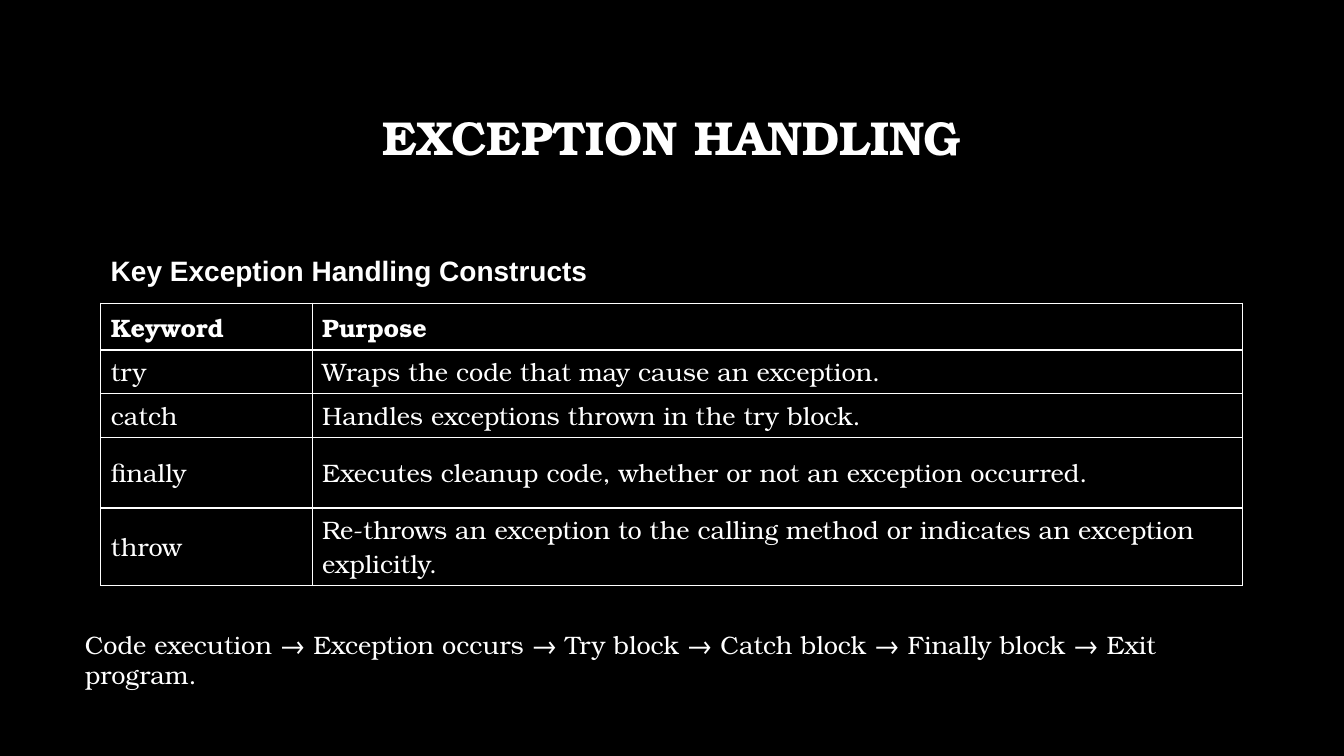
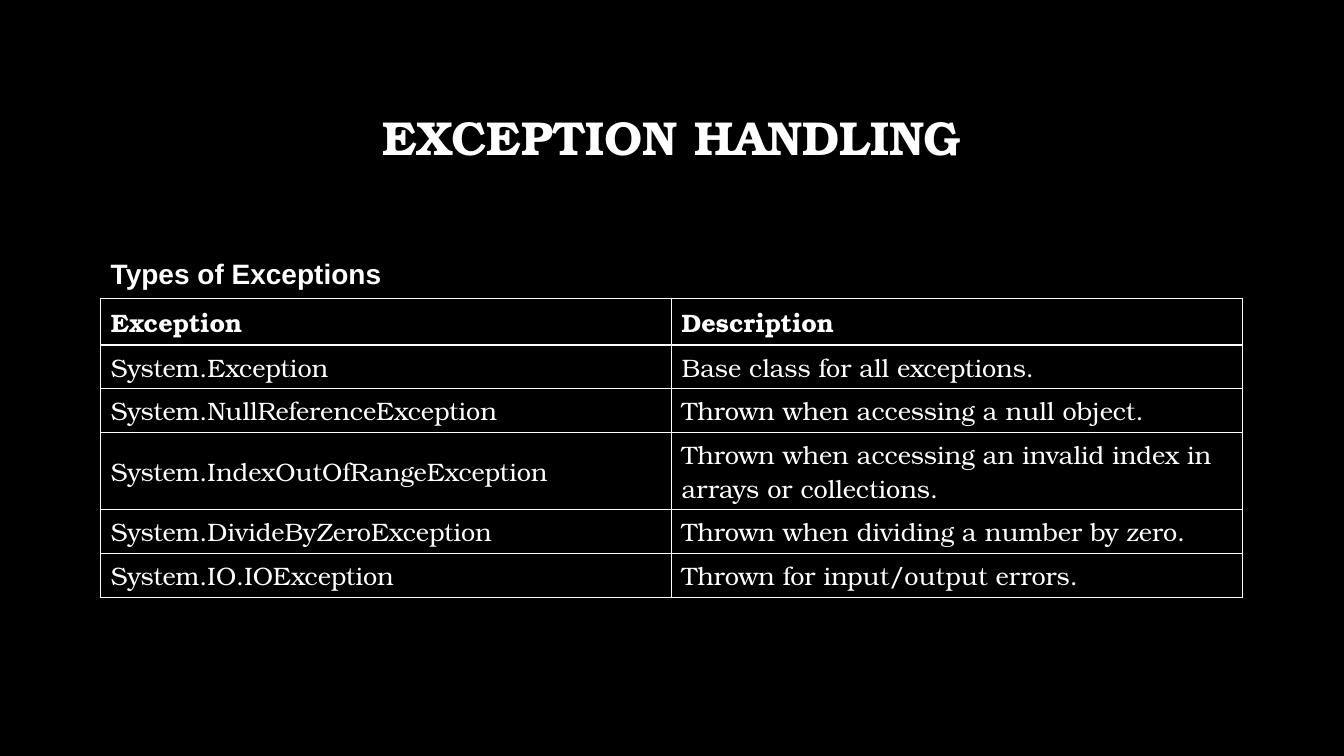
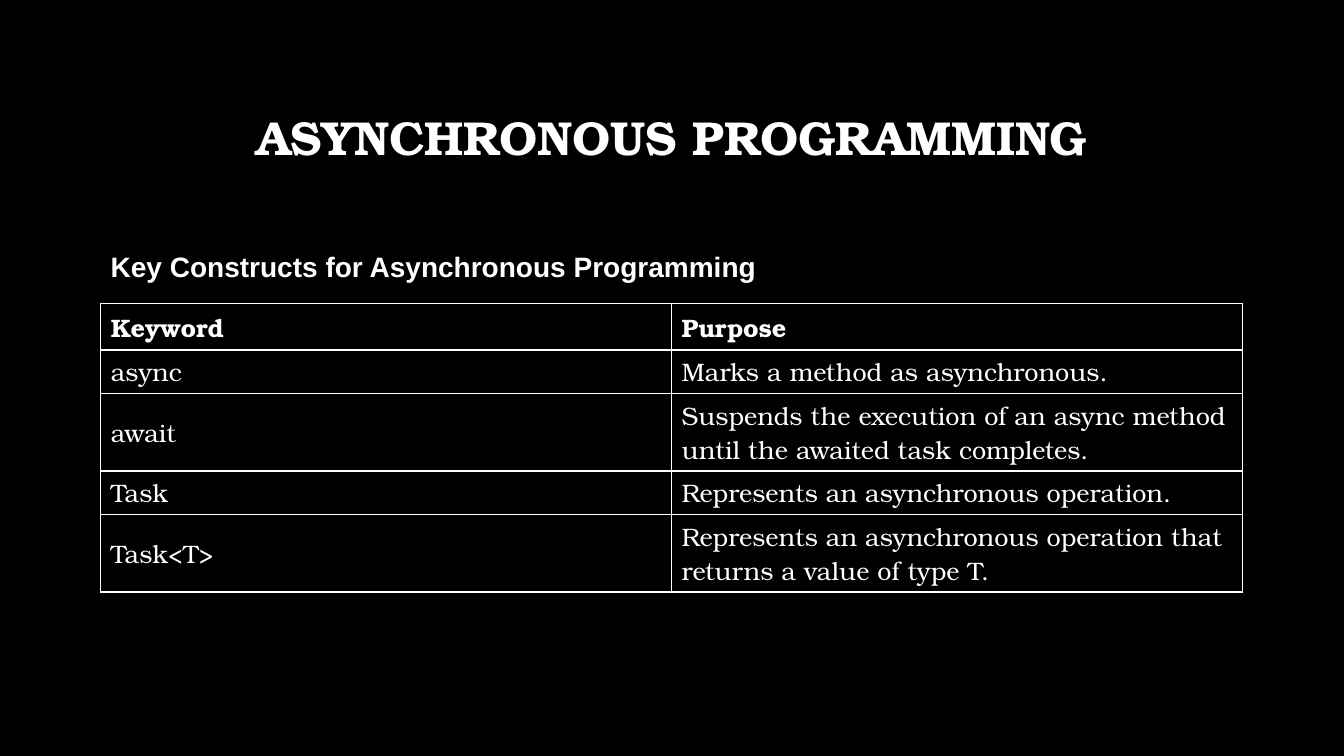
from dataclasses import dataclass

from pptx import Presentation
from pptx.dml.color import RGBColor
from pptx.enum import text
from pptx.oxml.ns import qn
from pptx.util import Pt
from lxml import etree

BLACK, WHITE = "000000", "FFFFFF"
SERIF, SANS = "TeX Gyre Bonum", "Arial"
LEFT, WIDTH = 72, 815.5
HEADER, ONE_LINE, SPACED, TWO_LINES = 33.5, 31.25, 50.4, 55.2
MIDDLE = text.MSO_ANCHOR.MIDDLE


@dataclass
class Box:
    left: float
    top: float
    width: float
    height: float


@dataclass
class Row:
    name: str
    meaning: str
    height: float = ONE_LINE


@dataclass
class Topic:
    title: str
    heading: str
    heading_box: Box
    table_top: float
    first_col: float
    rows: list[Row]
    note: str = ""


TITLE_BOX = Box(LEFT, 48, WIDTH, 104.5)
NOTE_BOX = Box(53.5, 446, 834, 29)

TOPICS = [
    Topic(
        "EXCEPTION HANDLING",
        "Key Exception Handling Constructs",
        Box(LEFT, 177.5, 358, 31.5),
        216.5, 151,
        [
            Row("Keyword", "Purpose", HEADER),
            Row("try", "Wraps the code that may cause an exception."),
            Row("catch", "Handles exceptions thrown in the try block."),
            Row("finally", "Executes cleanup code, whether or not an exception occurred.",
                SPACED),
            Row("throw", "Re-throws an exception to the calling method or indicates "
                         "an exception explicitly.", TWO_LINES),
        ],
        "Code execution → Exception occurs → Try block → Catch block → "
        "Finally block → Exit program.",
    ),
    Topic(
        "EXCEPTION HANDLING",
        "Types of Exceptions",
        Box(LEFT, 179.5, 209.5, 31.5),
        213, WIDTH / 2,
        [
            Row("Exception", "Description", HEADER),
            Row("System.Exception", "Base class for all exceptions."),
            Row("System.NullReferenceException", "Thrown when accessing a null object."),
            Row("System.IndexOutOfRangeException",
                "Thrown when accessing an invalid index in arrays or collections.",
                TWO_LINES),
            Row("System.DivideByZeroException", "Thrown when dividing a number by zero."),
            Row("System.IO.IOException", "Thrown for input/output errors."),
        ],
    ),
    Topic(
        "ASYNCHRONOUS PROGRAMMING",
        "Key Constructs for Asynchronous Programming",
        Box(LEFT, 174.5, 479.5, 31.5),
        216.5, WIDTH / 2,
        [
            Row("Keyword", "Purpose", HEADER),
            Row("async", "Marks a method as asynchronous."),
            Row("await", "Suspends the execution of an async method until the "
                         "awaited task completes.", TWO_LINES),
            Row("Task", "Represents an asynchronous operation."),
            Row("Task<T>", "Represents an asynchronous operation that returns a "
                           "value of type T.", TWO_LINES),
        ],
    ),
]


def color(value: str) -> RGBColor:
    return RGBColor.from_string(value)


def add_run(p, words: str, size: float, font: str = SERIF, bold: bool = False) -> None:
    r = p.add_run()
    r.text = words
    r.font.size = Pt(size)
    r.font.name = font
    r.font.bold = bold
    r.font.color.rgb = color(WHITE)


def add_box(slide, box: Box, anchor=MIDDLE, wrap: bool = True, grow: bool = False):
    """Add an empty text box and return its first paragraph."""
    sp = slide.shapes.add_textbox(Pt(box.left), Pt(box.top), Pt(box.width), Pt(box.height))
    tf = sp.text_frame
    tf.word_wrap = wrap
    tf.vertical_anchor = anchor
    if grow:
        tf.auto_size = text.MSO_AUTO_SIZE.SHAPE_TO_FIT_TEXT
    return tf.paragraphs[0]


def add_borders(cell, value: str) -> None:
    props = cell._tc.get_or_add_tcPr()
    for index, side in enumerate(("a:lnL", "a:lnR", "a:lnT", "a:lnB")):
        line = etree.Element(qn(side), w=str(Pt(1)))
        fill = etree.SubElement(line, qn("a:solidFill"))
        etree.SubElement(fill, qn("a:srgbClr"), val=value)
        props.insert(index, line)


def add_grid(slide, topic: Topic) -> None:
    total = sum(row.height for row in topic.rows)
    frame = slide.shapes.add_table(len(topic.rows), 2, Pt(LEFT), Pt(topic.table_top),
                                   Pt(WIDTH), Pt(total))
    table = frame.table
    table.columns[0].width = Pt(topic.first_col)
    table.columns[1].width = Pt(WIDTH - topic.first_col)
    for i, row in enumerate(topic.rows):
        table.rows[i].height = Pt(row.height)
        for j, words in enumerate((row.name, row.meaning)):
            cell = table.cell(i, j)
            cell.fill.background()
            cell.vertical_anchor = MIDDLE
            add_borders(cell, WHITE)
            add_run(cell.text_frame.paragraphs[0], words, 18, bold=i == 0)


def add_topic(prs, topic: Topic) -> None:
    slide = prs.slides.add_slide(prs.slide_layouts[6])
    slide.background.fill.solid()
    slide.background.fill.fore_color.rgb = color(BLACK)

    p = add_box(slide, TITLE_BOX)
    p.alignment = text.PP_ALIGN.CENTER
    p.line_spacing = 0.9
    add_run(p, topic.title, 34, bold=True)

    add_grid(slide, topic)
    p = add_box(slide, topic.heading_box, wrap=False, grow=True)
    add_run(p, topic.heading, 20, SANS, bold=True)
    if topic.note:
        p = add_box(slide, NOTE_BOX, text.MSO_ANCHOR.TOP, grow=True)
        add_run(p, topic.note, 18)


def main() -> None:
    prs = Presentation()
    prs.slide_width, prs.slide_height = Pt(960), Pt(540)
    for topic in TOPICS:
        add_topic(prs, topic)
    prs.save("out.pptx")


if __name__ == "__main__":
    main()
